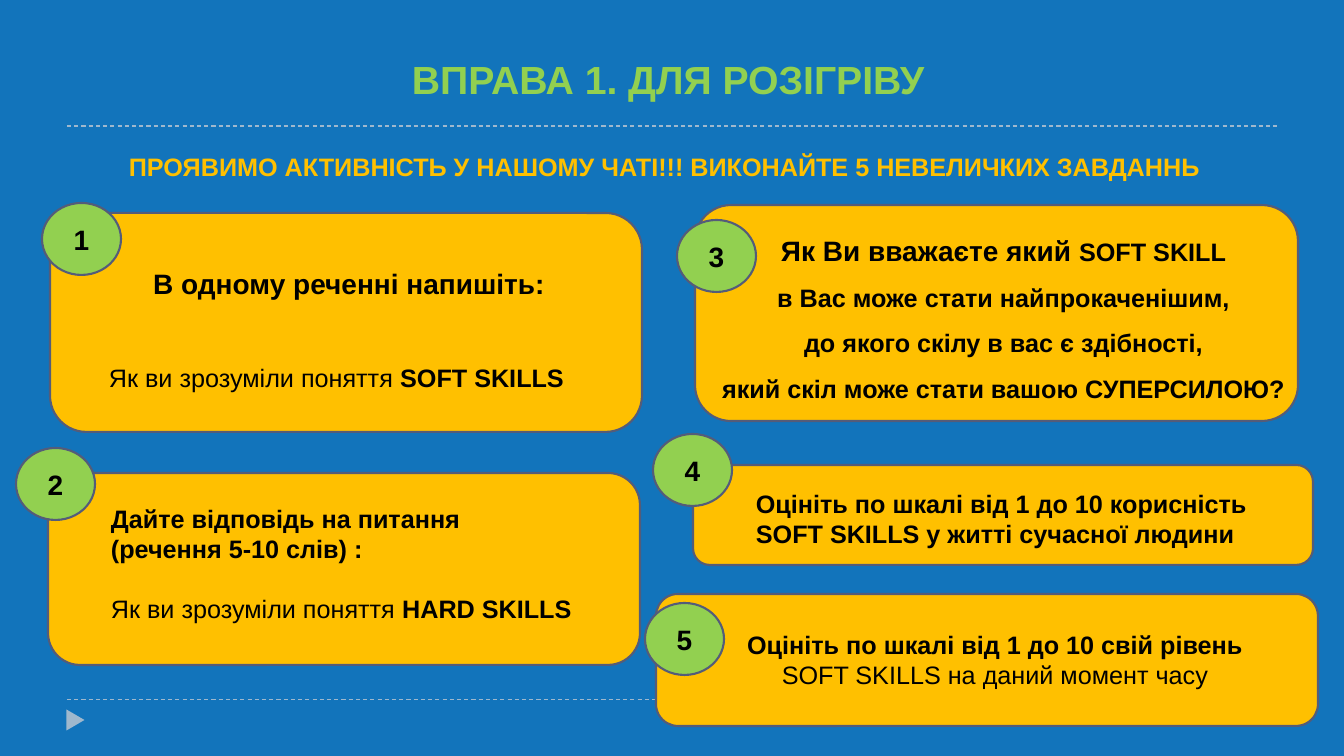
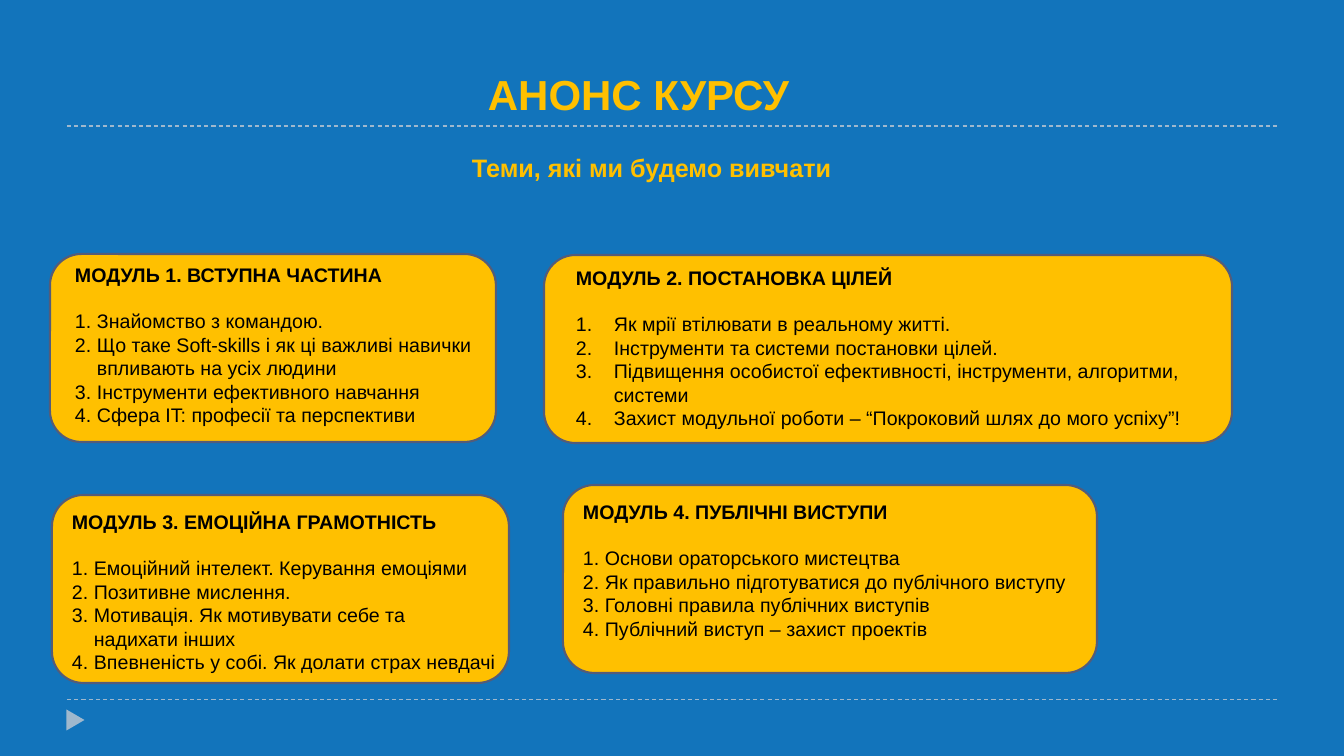
from dataclasses import dataclass
from typing import NamedTuple

from lxml import etree
from pptx import Presentation
from pptx import util as u
from pptx.dml import color
from pptx.enum import dml, shapes, text
from pptx.oxml import ns

SLIDE_W, SLIDE_H = 1344, 756
EMU_PER_PX = 12192000 / SLIDE_W

BLUE, GOLD, GREEN = "1274BB", "FFC000", "92D050"
OUTLINE, RULE, BLACK = "545C79", "9FB8CD", "000000"
FONT = "Arial"
BUBBLE_W, BUBBLE_H = 79, 72
MODULE_H, MODULE_TEXT_H = 188, 176


class Box(NamedTuple):
    x: int
    y: int
    w: int
    h: int


@dataclass(frozen=True)
class Run:
    words: str
    size: int = 18
    bold: bool = True
    color: str = BLACK


@dataclass(frozen=True)
class Para:
    runs: tuple[Run, ...]
    centred: bool = False
    before: int = 0
    spacing: float = 1.0
    hang: int = 0  # px; above zero the paragraph is numbered


@dataclass(frozen=True)
class Task:
    number: int
    bubble: tuple[int, int]
    card: Box
    text_area: Box
    paras: tuple[Para, ...]


@dataclass(frozen=True)
class Module:
    card: tuple[int, int, int]  # left, top, width
    text_area: tuple[int, int, int]
    heading: str
    topics: tuple[str, ...]
    hang: int = 22


def px(length: float) -> u.Emu:
    return u.Emu(round(length * EMU_PER_PX))


def rgb(value: str) -> color.RGBColor:
    return color.RGBColor.from_string(value)


def emu(box: Box) -> list[u.Emu]:
    return [px(length) for length in box]


def fill_paragraph(paragraph, para: Para) -> None:
    if para.hang:
        props = paragraph._p.get_or_add_pPr()
        props.set("marL", str(px(para.hang)))
        props.set("indent", str(-px(para.hang)))
        etree.SubElement(props, ns.qn("a:buFont"), typeface="+mj-lt")
        etree.SubElement(props, ns.qn("a:buAutoNum"), type="arabicPeriod")
    paragraph.alignment = text.PP_ALIGN.CENTER if para.centred else text.PP_ALIGN.LEFT
    paragraph.line_spacing = para.spacing
    if para.before:
        paragraph.space_before = u.Pt(para.before)
    for part in para.runs:
        for i, line in enumerate(part.words.split("\n")):
            if i:
                paragraph.add_line_break()
            run = paragraph.add_run()
            run.text = line
            run.font.name = FONT
            run.font.size = u.Pt(part.size)
            run.font.bold = part.bold
            run.font.color.rgb = rgb(part.color)


def add_text(slide, box: Box, paras: tuple[Para, ...]) -> None:
    frame = slide.shapes.add_textbox(*emu(box)).text_frame
    frame.word_wrap = True
    for i, para in enumerate(paras):
        fill_paragraph(frame.add_paragraph() if i else frame.paragraphs[0], para)


def add_line_of_text(slide, box: Box, words: str, size: int, hue: str) -> None:
    add_text(slide, box, (Para((Run(words, size, color=hue),)),))


def add_shape(slide, kind, box: Box, fill: str, outline: str | None = OUTLINE):
    shape = slide.shapes.add_shape(kind, *emu(box))
    shape.shadow.inherit = False
    shape.fill.solid()
    shape.fill.fore_color.rgb = rgb(fill)
    if outline:
        shape.line.color.rgb = rgb(outline)
        shape.line.width = u.Pt(1.5)
    else:
        shape.line.fill.background()
    return shape


def add_card(slide, box: Box) -> None:
    add_shape(slide, shapes.MSO_SHAPE.ROUNDED_RECTANGLE, box, GOLD)


def add_bubble(slide, left: int, top: int, number: int) -> None:
    bubble = add_shape(slide, shapes.MSO_SHAPE.OVAL,
                       Box(left, top, BUBBLE_W, BUBBLE_H), GREEN)
    frame = bubble.text_frame
    frame.margin_left = frame.margin_right = 0
    frame.vertical_anchor = text.MSO_ANCHOR.MIDDLE
    fill_paragraph(frame.paragraphs[0], Para((Run(str(number), 20),), centred=True))


def new_slide(prs):
    """Add a blank slide with the dashed rules and the corner triangle."""
    slide = prs.slides.add_slide(prs.slide_layouts[6])
    for y in (700, 126):
        rule = slide.shapes.add_connector(
            shapes.MSO_CONNECTOR.STRAIGHT, px(67), px(y), px(1277), px(y))
        rule.line.color.rgb = rgb(RULE)
        rule.line.width = u.Pt(0.75)
        rule.line.dash_style = dml.MSO_LINE.DASH
        etree.SubElement(rule._element.spPr, ns.qn("a:effectLst"))
    corner = add_shape(slide, shapes.MSO_SHAPE.ISOSCELES_TRIANGLE,
                       Box(65, 711, 21, 18), RULE, None)
    corner.rotation = 90
    return slide


TASKS = (
    Task(1, (42, 203), Box(50, 213, 592, 219), Box(99, 262, 500, 134), (
        Para((Run("В одному реченні напишіть:", 20),), centred=True),
        Para((Run("Як ви зрозуміли поняття ", bold=False), Run("SOFT SKILLS")),
             before=44),
    )),
    Task(2, (16, 448), Box(48, 473, 592, 192), Box(101, 498, 510, 163), (
        Para((Run("Дайте відповідь на питання"),)),
        Para((Run("(речення 5-10 слів) :"),)),
        Para((Run("Як ви зрозуміли поняття ", bold=False), Run("HARD SKILLS")),
             before=21),
    )),
    Task(3, (677, 220), Box(695, 205, 603, 216), Box(695, 212, 617, 204), (
        Para((Run("Як Ви вважаєте який ", 20), Run("SOFT SKILL")),
             centred=True, spacing=1.5),
        *(Para((Run(line),), centred=True, spacing=1.5) for line in (
            "в Вас може стати найпрокаченішим,",
            "до якого скілу в вас є здібності,",
            "який скіл може стати вашою СУПЕРСИЛОЮ?")),
    )),
    Task(4, (653, 434), Box(693, 465, 620, 100), Box(746, 483, 540, 72), (
        Para((Run("Оцініть по шкалі від 1 до 10 корисність"),)),
        Para((Run("SOFT SKILLS у житті сучасної людини"),)),
    )),
    Task(5, (645, 603), Box(656, 594, 662, 132), Box(725, 624, 540, 72), (
        Para((Run("Оцініть по шкалі від 1 до 10 свій рівень"),), centred=True),
        Para((Run("SOFT SKILLS на даний момент часу", bold=False),), centred=True),
    )),
)

MODULES = (
    Module((50, 254, 446), (65, 258, 450), "МОДУЛЬ 1. ВСТУПНА ЧАСТИНА", (
        "Знайомство з командою.",
        "Що таке Soft-skills і як ці важливі навички\nвпливають на усіх людини",
        "Інструменти ефективного навчання",
        "Сфера IT: професії та перспективи",
    )),
    Module((544, 255, 688), (566, 261, 672), "МОДУЛЬ 2. ПОСТАНОВКА ЦІЛЕЙ", (
        "Як мрії втілювати в реальному житті.",
        "Інструменти та системи постановки цілей.",
        "Підвищення особистої ефективності, інструменти, алгоритми, системи",
        "Захист модульної роботи – “Покроковий шлях до мого успіху”!",
    ), hang=38),
    Module((52, 495, 457), (62, 505, 470), "МОДУЛЬ 3. ЕМОЦІЙНА ГРАМОТНІСТЬ", (
        "Емоційний інтелект. Керування емоціями",
        "Позитивне мислення.",
        "Мотивація. Як мотивувати себе та\nнадихати інших",
        "Впевненість у собі. Як долати страх невдачі",
    )),
    Module((563, 485, 534), (573, 495, 530), "МОДУЛЬ 4. ПУБЛІЧНІ ВИСТУПИ", (
        "Основи ораторського мистецтва",
        "Як правильно підготуватися до публічного виступу",
        "Головні правила публічних виступів",
        "Публічний виступ – захист проектів",
    )),
)


def build_warm_up(prs) -> None:
    slide = new_slide(prs)
    add_line_of_text(slide, Box(402, 50, 570, 57), "ВПРАВА 1. ДЛЯ РОЗІГРІВУ", 28, GREEN)
    add_line_of_text(
        slide, Box(119, 146, 1130, 40),
        "ПРОЯВИМО АКТИВНІСТЬ У НАШОМУ ЧАТІ!!! ВИКОНАЙТЕ 5 НЕВЕЛИЧКИХ ЗАВДАННЬ",
        18, GOLD)
    for task in TASKS:
        add_card(slide, task.card)
        add_text(slide, task.text_area, task.paras)
        add_bubble(slide, *task.bubble, task.number)


def build_course_outline(prs) -> None:
    slide = new_slide(prs)
    add_line_of_text(slide, Box(478, 64, 350, 58), "АНОНС КУРСУ", 30, GOLD)
    add_line_of_text(slide, Box(462, 147, 400, 40), "Теми, які ми будемо вивчати", 18, GOLD)
    for module in MODULES:
        add_card(slide, Box(*module.card, MODULE_H))
        topics = (Para((Run(topic, 14, bold=False),), hang=module.hang,
                       before=0 if i else 16)
                  for i, topic in enumerate(module.topics))
        add_text(slide, Box(*module.text_area, MODULE_TEXT_H),
                 (Para((Run(module.heading, 14),)), *topics))


def main() -> None:
    prs = Presentation()
    prs.slide_width, prs.slide_height = px(SLIDE_W), px(SLIDE_H)
    backdrop = prs.slide_master.background.fill
    backdrop.solid()
    backdrop.fore_color.rgb = rgb(BLUE)
    build_warm_up(prs)
    build_course_outline(prs)
    prs.save("out.pptx")


if __name__ == "__main__":
    main()
